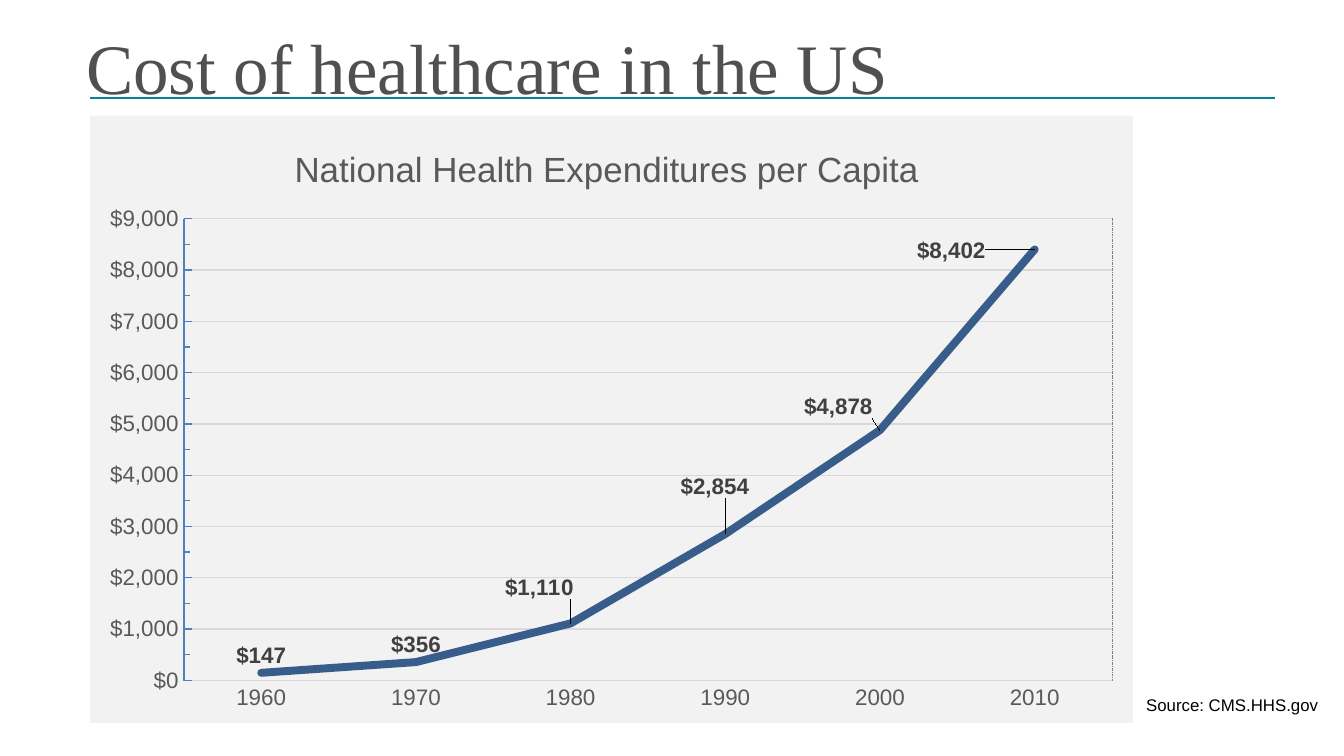
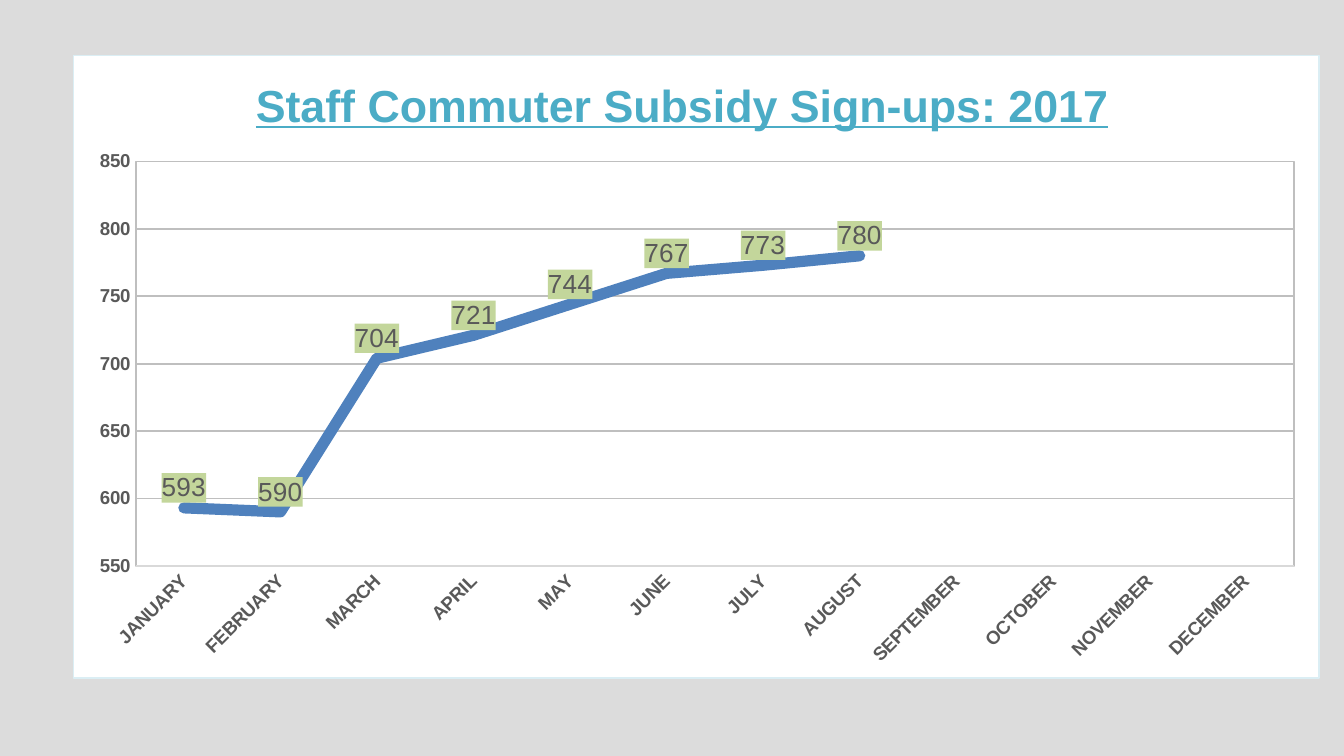
from dataclasses import dataclass
from typing import Any, Optional

from lxml import etree
from pptx import Presentation
from pptx.chart.data import CategoryChartData
from pptx.dml.color import RGBColor
from pptx.enum.chart import XL_CHART_TYPE, XL_LABEL_POSITION, XL_TICK_MARK
from pptx.enum.shapes import MSO_CONNECTOR, MSO_SHAPE
from pptx.enum.text import MSO_ANCHOR, MSO_AUTO_SIZE, PP_ALIGN
from pptx.oxml import parse_xml
from pptx.oxml.ns import nsdecls, qn
from pptx.util import Inches, Pt

LINE_CHART = XL_CHART_TYPE.LINE
LABEL_ABOVE = XL_LABEL_POSITION.ABOVE
TICK_NONE = XL_TICK_MARK.NONE
TICK_INSIDE = XL_TICK_MARK.INSIDE
STRAIGHT = MSO_CONNECTOR.STRAIGHT
RECTANGLE = MSO_SHAPE.RECTANGLE
BOTTOM = MSO_ANCHOR.BOTTOM
NO_AUTOFIT = MSO_AUTO_SIZE.NONE
LEFT = PP_ALIGN.LEFT

WHITE = RGBColor(0xFF, 0xFF, 0xFF)
BLACK = RGBColor(0x00, 0x00, 0x00)
NEAR_BLACK = RGBColor(0x0D, 0x0D, 0x0D)
TITLE_GRAY = RGBColor(0x52, 0x4F, 0x50)
TEXT_GRAY = RGBColor(0x59, 0x59, 0x59)
LABEL_GRAY = RGBColor(0x40, 0x40, 0x40)
MID_GRAY = RGBColor(0x7F, 0x7F, 0x7F)
GRID_GRAY = RGBColor(0xBF, 0xBF, 0xBF)
PALE_GRAY = RGBColor(0xD9, 0xD9, 0xD9)
PANEL_GRAY = RGBColor(0xF2, 0xF2, 0xF2)
TEAL = RGBColor(0x00, 0x85, 0x99)
NAVY = RGBColor(0x38, 0x5D, 0x8A)
BLUE = RGBColor(0x4F, 0x81, 0xBD)
AQUA = RGBColor(0x4B, 0xAC, 0xC6)
PALE_AQUA = RGBColor(0xDB, 0xEE, 0xF4)
LABEL_GREEN = RGBColor(0xC3, 0xD6, 0x9B)

SANS = "Arial"
SERIF = "Times New Roman"
VEIL_OPACITY = 86
DOLLARS = '"$"#,##0'
NO_LEADER_LINES = (
    f'<c:extLst {nsdecls("c")}><c:ext uri="{{CE6537A1-D6FC-4f65-9D91-7224C49458BB}}" '
    'xmlns:c15="http://schemas.microsoft.com/office/drawing/2012/chart">'
    '<c15:showLeaderLines val="0"/></c:ext></c:extLst>'
)


@dataclass(frozen=True)
class TextStyle:
    size: float
    color: RGBColor
    name: str = SANS
    bold: bool = False
    underline: bool = False


@dataclass(frozen=True)
class Stroke:
    color: RGBColor
    width: float
    dash: str = "solid"


@dataclass(frozen=True)
class ChartSpec:
    box: tuple[float, float, float, float]
    title: str
    title_style: TextStyle
    title_place: tuple[float, float]
    plot_place: tuple[float, float, float, float]
    categories: list[str]
    values: list[Optional[int]]
    number_format: str
    panel: RGBColor
    border: Optional[Stroke]
    plot_border: Stroke
    grid: Stroke
    series: Stroke
    axis_style: TextStyle
    label_style: TextStyle
    label_fill: Optional[RGBColor]
    label_shifts: dict[int, tuple[float, float]]
    value_line: Optional[Stroke]
    tick: Any
    value_axis: dict[str, float]
    category_rotation: int = 0


EXPENDITURES = ChartSpec(
    box=(0.67, 0.86, 7.76, 4.52),
    title="National Health Expenditures per Capita",
    title_style=TextStyle(18.7, TEXT_GRAY),
    title_place=(0.19, 0.04),
    plot_place=(0.09, 0.17, 0.89, 0.76),
    categories=[str(year) for year in range(1960, 2011, 10)],
    values=[147, 356, 1110, 2854, 4878, 8402],
    number_format=DOLLARS,
    panel=PANEL_GRAY,
    border=None,
    plot_border=Stroke(MID_GRAY, 0.5, "sysDashDot"),
    grid=Stroke(PALE_GRAY, 0.75),
    series=Stroke(NAVY, 4.25),
    axis_style=TextStyle(12, TEXT_GRAY),
    label_style=TextStyle(12, LABEL_GRAY, bold=True),
    label_fill=None,
    label_shifts={2: (-0.03, -0.03), 3: (-0.01, -0.05), 4: (-0.04, -0.01), 5: (-0.08, 0.03)},
    value_line=Stroke(BLUE, 0.75),
    tick=TICK_INSIDE,
    value_axis={"minimum_scale": 0, "maximum_scale": 9000, "major_unit": 1000, "minor_unit": 500},
)

SIGN_UPS = ChartSpec(
    box=(0.54, 0.41, 9.28, 4.64),
    title="Staff Commuter Subsidy Sign-ups: 2017",
    title_style=TextStyle(24, AQUA, bold=True, underline=True),
    title_place=(0.14, 0.02),
    plot_place=(0.05, 0.17, 0.93, 0.65),
    categories=["JANUARY", "FEBRUARY", "MARCH", "APRIL", "MAY", "JUNE", "JULY", "AUGUST",
                "SEPTEMBER", "OCTOBER", "NOVEMBER", "DECEMBER"],
    values=[593, 590, 704, 721, 744, 767, 773, 780] + [None] * 4,
    number_format="General",
    panel=WHITE,
    border=Stroke(PALE_AQUA, 0.75),
    plot_border=Stroke(GRID_GRAY, 1),
    grid=Stroke(GRID_GRAY, 1),
    series=Stroke(BLUE, 6),
    axis_style=TextStyle(10, TEXT_GRAY, bold=True),
    label_style=TextStyle(14, TEXT_GRAY),
    label_fill=LABEL_GREEN,
    label_shifts={},
    value_line=None,
    tick=TICK_NONE,
    value_axis={"minimum_scale": 550, "maximum_scale": 850, "major_unit": 50},
    category_rotation=-45,
)


def set_values(target: Any, values: dict[str, Any]) -> None:
    for name, value in values.items():
        setattr(target, name, value)


def style_font(font: Any, style: TextStyle) -> None:
    set_values(font, {"size": Pt(style.size), "name": style.name,
                      "bold": style.bold, "underline": style.underline})
    font.color.rgb = style.color


def style_line(line: Any, stroke: Optional[Stroke]) -> None:
    if stroke is None:
        line.fill.background()
        return
    line.color.rgb = stroke.color
    line.width = Pt(stroke.width)


def area_format(fill: Optional[RGBColor], stroke: Optional[Stroke]) -> Any:
    paint = f'<a:solidFill><a:srgbClr val="{fill}"/></a:solidFill>' if fill else "<a:noFill/>"
    line = "<a:ln><a:noFill/></a:ln>"
    if stroke:
        line = (f'<a:ln w="{Pt(stroke.width)}"><a:solidFill><a:srgbClr val="{stroke.color}"/>'
                f'</a:solidFill><a:prstDash val="{stroke.dash}"/></a:ln>')
    return parse_xml(f'<c:spPr {nsdecls("c", "a")}>{paint}{line}</c:spPr>')


def manual_layout(place: tuple[float, ...], absolute: bool = True, inner: bool = False) -> Any:
    target = '<c:layoutTarget val="inner"/>' if inner else ""
    modes = '<c:xMode val="edge"/><c:yMode val="edge"/>' if absolute else ""
    sides = "".join(f'<c:{side} val="{value}"/>' for side, value in zip("xywh", place))
    return parse_xml(f'<c:layout {nsdecls("c")}><c:manualLayout>{target}{modes}{sides}'
                     "</c:manualLayout></c:layout>")


def replace_layout(parent: Any, layout: Any, index: int) -> None:
    for old in parent.findall(qn("c:layout")):
        parent.remove(old)
    parent.insert(index, layout)


def style_axes(chart: Any, spec: ChartSpec) -> None:
    for axis, tick, stroke in ((chart.category_axis, TICK_NONE, Stroke(PALE_GRAY, 0.75)),
                               (chart.value_axis, spec.tick, spec.value_line)):
        set_values(axis, {"major_tick_mark": tick, "minor_tick_mark": tick})
        style_font(axis.tick_labels.font, spec.axis_style)
        style_line(axis.format.line, stroke)
    set_values(chart.value_axis, {"has_major_gridlines": True, **spec.value_axis})
    set_values(chart.value_axis.tick_labels,
               {"number_format": spec.number_format, "number_format_is_linked": False})
    style_line(chart.value_axis.major_gridlines.format.line, spec.grid)
    if spec.category_rotation:
        body = chart.category_axis._element.find(qn("c:txPr")).find(qn("a:bodyPr"))
        body.set("rot", str(spec.category_rotation * 60000))


def style_series(chart: Any, spec: ChartSpec) -> None:
    series = chart.plots[0].series[0]
    series.smooth = False
    style_line(series.format.line, spec.series)
    series.format.line._get_or_add_ln().set("cap", "rnd")
    labels = series.data_labels
    set_values(labels, {"show_value": True, "position": LABEL_ABOVE,
                        "number_format": spec.number_format, "number_format_is_linked": False})
    style_font(labels.font, spec.label_style)
    if spec.label_fill:
        labels._element.find(qn("c:txPr")).addprevious(area_format(spec.label_fill, None))
    for index, shift in spec.label_shifts.items():
        label = series.points[index].data_label
        style_font(label.font, spec.label_style)
        label.position = LABEL_ABOVE
        element = labels._element.findall(qn("c:dLbl"))[-1]
        replace_layout(element, manual_layout(shift, absolute=False), 1)
    labels._element.append(parse_xml(NO_LEADER_LINES))


def add_line_chart(page: Any, spec: ChartSpec) -> None:
    data = CategoryChartData(number_format=spec.number_format)
    data.categories = spec.categories
    data.add_series("Series 1", spec.values)
    chart = page.shapes.add_chart(LINE_CHART, *map(Inches, spec.box), data).chart
    set_values(chart, {"has_legend": False, "has_title": True})
    chart.plots[0].vary_by_categories = False
    style_font(chart.font, TextStyle(10, BLACK))
    span = chart.chart_title.text_frame.paragraphs[0].add_run()
    span.text = spec.title
    style_font(span.font, spec.title_style)
    style_axes(chart, spec)
    style_series(chart, spec)
    root = chart._chartSpace.find(qn("c:chart"))
    root.addnext(area_format(spec.panel, spec.border))
    replace_layout(root.find(qn("c:title")), manual_layout(spec.title_place), 1)
    plot_area = root.find(qn("c:plotArea"))
    replace_layout(plot_area, manual_layout(spec.plot_place, inner=True), 0)
    plot_area.append(area_format(None, spec.plot_border))


def add_page(deck: Any, layout: int, background: RGBColor) -> Any:
    page = deck.slides.add_slide(deck.slide_layouts[layout])
    page.background.fill.solid()
    page.background.fill.fore_color.rgb = background
    veil = page.shapes.add_shape(RECTANGLE, 0, 0, deck.slide_width, deck.slide_height)
    veil.shadow.inherit = False
    veil.fill.solid()
    veil.fill.fore_color.rgb = WHITE
    veil.line.fill.background()
    color = veil._element.spPr.find(qn("a:solidFill"))[0]
    etree.SubElement(color, qn("a:alpha")).set("val", str(VEIL_OPACITY * 1000))
    page.shapes._spTree.insert(2, veil._element)
    return page


def write_text(box: Any, text: str, style: TextStyle, frame: dict[str, Any]) -> None:
    set_values(box.text_frame, frame)
    para = box.text_frame.paragraphs[0]
    para.alignment = LEFT
    span = para.add_run()
    span.text = text
    style_font(span.font, style)


def build_cost_page(deck: Any) -> None:
    page = add_page(deck, 5, WHITE)
    rule = page.shapes.add_connector(STRAIGHT, *map(Inches, (0.67, 0.73, 9.49, 0.73)))
    style_line(rule.line, Stroke(TEAL, 1))
    etree.SubElement(rule._element.spPr, qn("a:effectLst"))
    title = page.shapes.title
    set_values(title, {"left": Inches(0.54), "top": Inches(-0.65),
                       "width": Inches(9.46), "height": Inches(1.51)})
    write_text(title, "Cost of healthcare in the US", TextStyle(38, TITLE_GRAY, SERIF),
               {"vertical_anchor": BOTTOM, "auto_size": NO_AUTOFIT, "word_wrap": True})
    add_line_chart(page, EXPENDITURES)
    source = page.shapes.add_textbox(*map(Inches, (8.43, 5.12, 1.57, 0.25)))
    write_text(source, "Source: CMS.HHS.gov", TextStyle(9, BLACK), {"word_wrap": False})


def build_sign_up_page(deck: Any) -> None:
    add_line_chart(add_page(deck, 6, NEAR_BLACK), SIGN_UPS)


def main() -> None:
    deck = Presentation()
    set_values(deck, {"slide_width": Inches(10), "slide_height": Inches(5.625)})
    build_cost_page(deck)
    build_sign_up_page(deck)
    deck.save("out.pptx")


if __name__ == "__main__":
    main()
